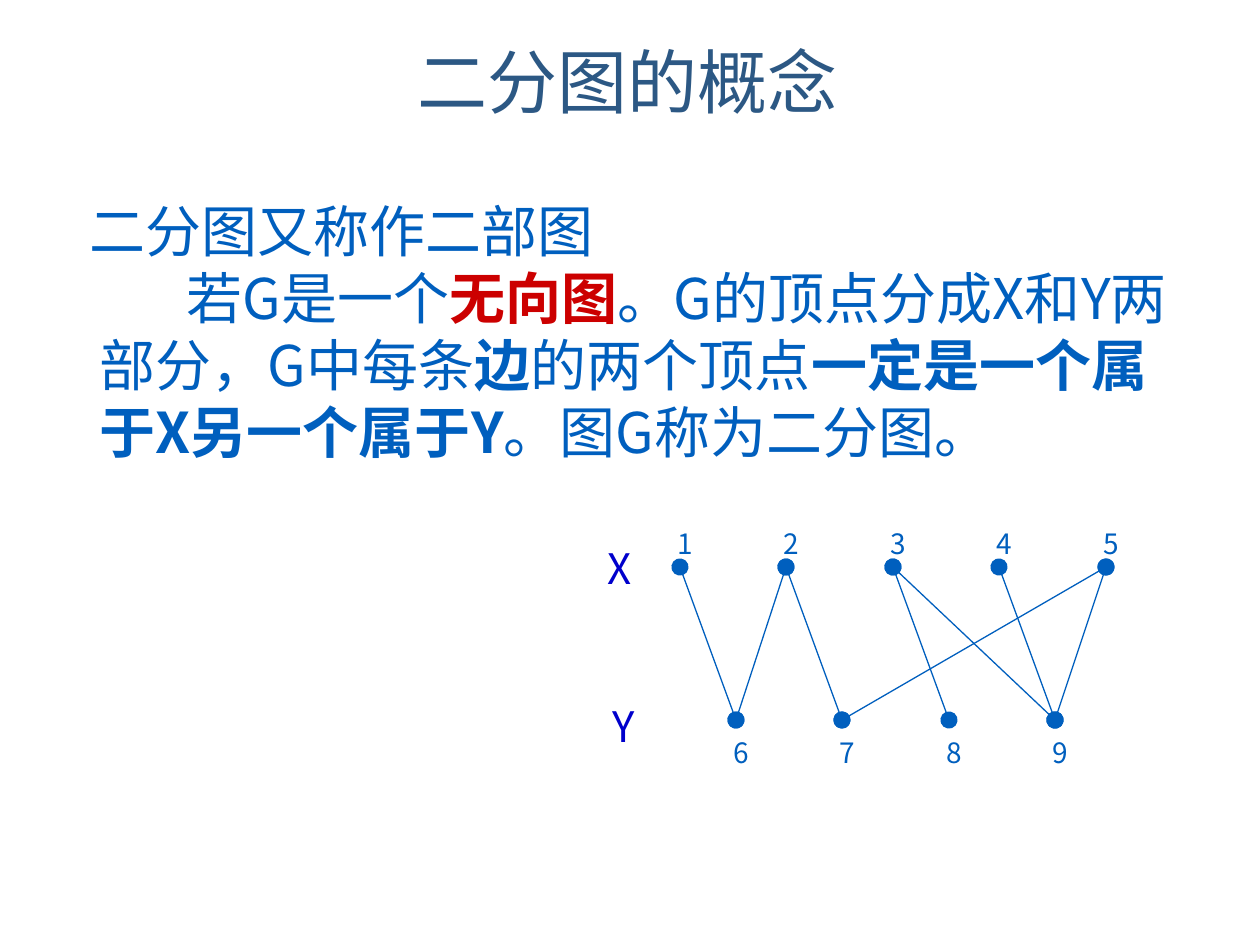
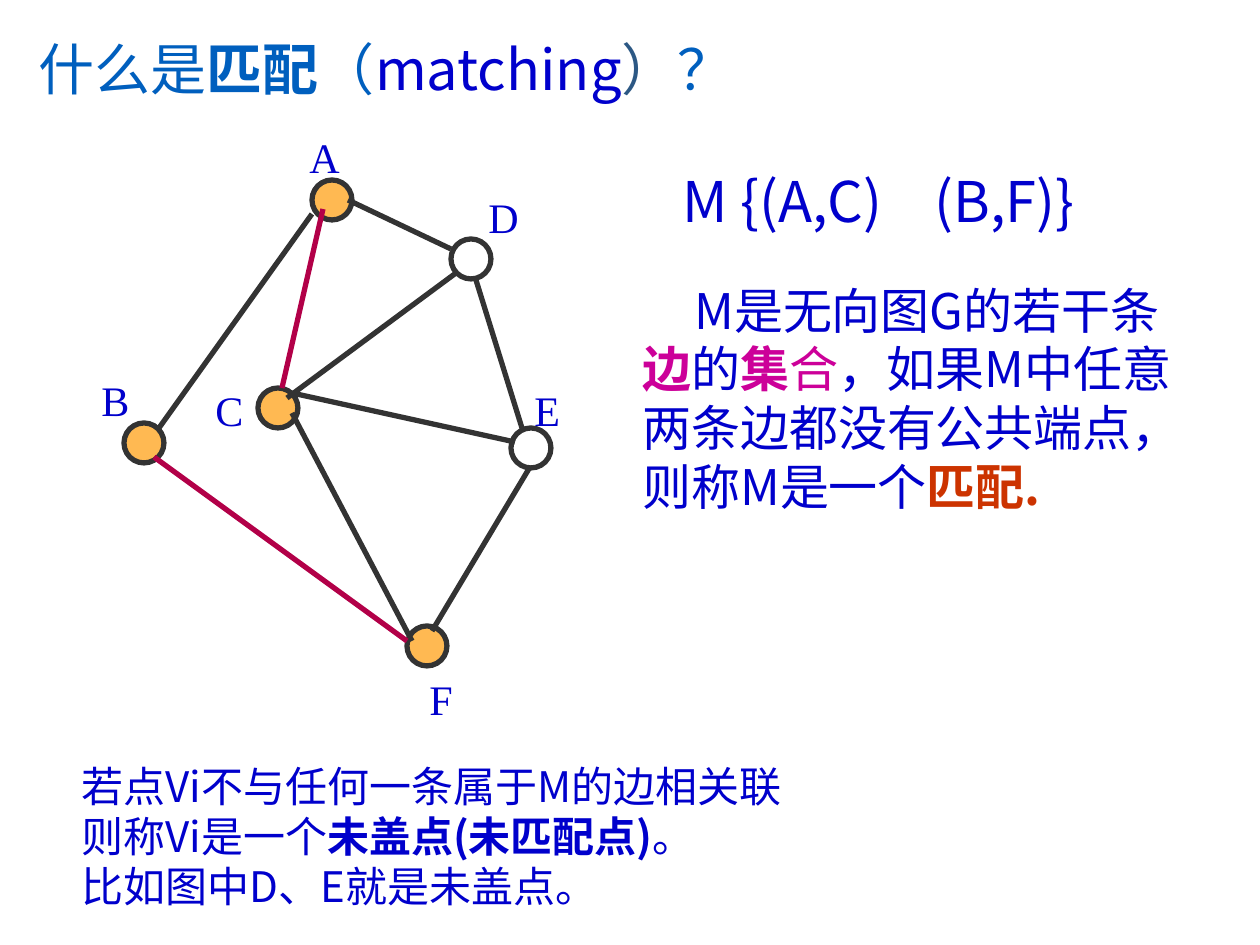
import pptx
import pptx.dml.color
import pptx.enum.shapes
import pptx.enum.text
import pptx.oxml.ns
import pptx.util
from lxml import etree

PX = 914400 / 126
SANS, SERIF = "Noto Sans CJK SC", "Times New Roman"
BLUE, NAVY, SLATE = "005FBE", "0000CC", "2C5884"
RED, MAGENTA, ORANGE = "CC0000", "CC0099", "CC3300"
INK, AMBER, CRIMSON = "333333", "FFB952", "B20048"
LEFT, CENTER = pptx.enum.text.PP_ALIGN.LEFT, pptx.enum.text.PP_ALIGN.CENTER
TOP, MIDDLE = pptx.enum.text.MSO_ANCHOR.TOP, pptx.enum.text.MSO_ANCHOR.MIDDLE


def emu(px):
    return round(px * PX)


def rgb(value):
    return pptx.dml.color.RGBColor.from_string(value)


def add_xml(parent, tag, **attributes):
    return etree.SubElement(parent, pptx.oxml.ns.qn(tag), attributes)


class Deck:
    """Holds the shared style and the slide being built."""

    def __init__(self):
        self.file = pptx.Presentation()
        self.file.slide_width, self.file.slide_height = emu(1260), emu(945)
        self.slide = None

    def new_slide(self, layout):
        self.slide = self.file.slides.add_slide(self.file.slide_layouts[layout])

    def place(self, shape, box):
        for side, px in zip(("left", "top", "width", "height"), box):
            setattr(shape, side, emu(px))

    def fill_text(self, shape, paragraphs, size, color, font=SANS, align=LEFT,
                  anchor=TOP, layout=(), tab=None):
        """Paragraphs are lists of (text, changes); layout gives (margin, indent) for each."""
        frame = shape.text_frame
        frame_format = {"word_wrap": True, "vertical_anchor": anchor,
                        "auto_size": pptx.enum.text.MSO_AUTO_SIZE.NONE}
        for name, value in frame_format.items():
            setattr(frame, name, value)
        for index, runs in enumerate(paragraphs):
            paragraph = frame.add_paragraph() if index else frame.paragraphs[0]
            paragraph_format = {"alignment": align, "space_before": pptx.util.Pt(0),
                                "line_spacing": pptx.util.Pt(size * 1.2)}
            for name, value in paragraph_format.items():
                setattr(paragraph, name, value)
            properties = paragraph._p.get_or_add_pPr()
            margin, indent = layout[index] if layout else (0, 0)
            properties.set("marL", str(emu(margin)))
            properties.set("indent", str(emu(indent)))
            add_xml(properties, "a:buNone")
            if tab:
                stops = add_xml(properties, "a:tabLst")
                add_xml(stops, "a:tab", pos=str(emu(tab)), algn="l")
            for text, changes in runs:
                self.add_run(paragraph, text, {"size": pptx.util.Pt(size), "name": font,
                                               "bold": False, "color": color, **changes})

    def add_run(self, paragraph, text, style):
        run = paragraph.add_run()
        run.text = text
        run.font.color.rgb = rgb(style.pop("color"))
        for name, value in style.items():
            setattr(run.font, name, value)
        add_xml(run._r.get_or_add_rPr(), "a:ea", typeface=SANS)

    def title(self, box, runs, size, **style):
        self.place(self.slide.shapes.title, box)
        self.fill_text(self.slide.shapes.title, [runs], size, SLATE, **style)

    def body(self, box, paragraphs, size, color, **style):
        content = self.slide.placeholders[1]
        self.place(content, box)
        self.fill_text(content, paragraphs, size, color, **style)

    def text(self, box, paragraphs, size, color=NAVY, **style):
        textbox = self.slide.shapes.add_textbox(*map(emu, box))
        self.fill_text(textbox, paragraphs, size, color, **style)

    def label(self, box, text, size, color=NAVY, **style):
        self.text(box, [[(text, {})]], size, color, **style)

    def edge(self, start, end, color, weight, dots=False):
        line = self.slide.shapes.add_connector(
            pptx.enum.shapes.MSO_CONNECTOR.STRAIGHT, *map(emu, (*start, *end)))
        line.line.color.rgb = rgb(color)
        line.line.width = pptx.util.Pt(weight)
        if dots:
            for end_tag in ("a:headEnd", "a:tailEnd"):
                add_xml(line.line._get_or_add_ln(), end_tag, type="oval", w="lg", len="lg")
        add_xml(line._element.spPr, "a:effectLst")

    def vertex(self, center, diameter, fill):
        left, top = (c - diameter // 2 for c in center)
        circle = self.slide.shapes.add_shape(
            pptx.enum.shapes.MSO_SHAPE.OVAL, *map(emu, (left, top, diameter, diameter)))
        circle.shadow.inherit = False
        if fill:
            circle.fill.solid()
            circle.fill.fore_color.rgb = rgb(fill)
        else:
            circle.fill.background()
        circle.line.color.rgb = rgb(INK)
        circle.line.width = pptx.util.Pt(3)


def bipartite_slide(deck):
    bold = {"bold": True}
    deck.new_slide(1)
    deck.title((39, 2, 1177, 157), [("二分图的概念", {})], 40, align=CENTER, anchor=MIDDLE)
    deck.body((39, 190, 1170, 320), [
        [("二分图又称作二部图", {})],
        [("若G是一个", {}), ("无向图", {"bold": True, "color": RED}),
         ("。G的顶点分成X和Y两部分，G中每条", {}), ("边", bold), ("的两个顶点", {}),
         ("一定是一个属于X另一个属于Y", bold), ("。图G称为二分图。", {})],
    ], 32, BLUE, layout=((38, 0), (48, 87)))

    upper = {n: (680 + 213 * i // 2, 567) for i, n in enumerate((1, 2, 3, 4, 5))}
    lower = {n: (736 + 213 * i // 2, 720) for i, n in enumerate((6, 7, 8, 9))}
    for x, y in ((1, 6), (2, 6), (2, 7), (3, 8), (4, 9), (3, 9), (5, 7), (5, 9)):
        deck.edge(upper[x], lower[y], BLUE, 0.75, dots=True)
    for vertices, top in ((upper, 524), (lower, 733)):
        for number, (x, _) in vertices.items():
            deck.label((x - 15, top, 30, 38), str(number), 16, BLUE, anchor=MIDDLE)
    deck.label((595, 536, 115, 63), "X", 24)
    deck.label((600, 694, 115, 63), "Y", 24)


def matching_slide(deck):
    blue = {"color": BLUE}
    deck.new_slide(5)
    deck.title((26, 28, 842, 81), [
        ("什么是", blue), ("匹配", {"color": BLUE, "bold": True}), ("（", blue),
        ("matching", {"color": NAVY, "name": SANS}), ("）", {}), ("？", blue),
    ], 32, font=SERIF)

    vertices = {  # centre, fill, label corner
        "A": ((332, 200), AMBER, (297, 125)),
        "B": ((144, 443), AMBER, (89, 368)),
        "C": ((278, 408), AMBER, (203, 378)),
        "D": ((471, 259), None, (476, 185)),
        "E": ((531, 448), None, (522, 378)),
        "F": ((427, 646), AMBER, (417, 667)),
    }
    for center, fill, _ in vertices.values():
        deck.vertex(center, 40, fill)
    unmatched = (
        ((348, 200), (451, 249)), ((292, 413), (412, 641)), ((476, 280), (522, 428)),
        ((530, 467), (432, 631)), ((287, 398), (456, 273)), ((292, 393), (515, 442)),
        ((312, 214), (159, 428)),
    )
    matched = (((323, 209), (282, 388)), ((154, 457), (407, 641)))
    for edges, color in ((unmatched, INK), (matched, CRIMSON)):
        for start, end in edges:
            deck.edge(start, end, color, 3)
    for name, (_, _, corner) in vertices.items():
        deck.label((*corner, 69, 63), name, 24, font=SERIF)

    deck.label((670, 160, 417, 81), "M {(A,C)\t(B,F)}", 32, tab=223)
    deck.text((630, 274, 586, 248), [[
        ("M是无向图G的若干条", {}), ("边", {"color": MAGENTA, "bold": True}), ("的", {}),
        ("集", {"color": MAGENTA, "bold": True}), ("合", {"color": MAGENTA}),
        ("，如果M中任意两条边都没有公共端点，则称M是一个", {}),
        ("匹配.", {"color": ORANGE, "bold": True}),
    ]], 28, layout=((0, 52),))
    deck.text((69, 754, 963, 164), [
        [("若点Vi不与任何一条属于M的边相关联", {})],
        [("则称Vi是一个", {}), ("未盖点(未匹配点)", {"bold": True}), ("。", {})],
        [("比如图中D、E就是未盖点。", {})],
    ], 24)


def main():
    deck = Deck()
    bipartite_slide(deck)
    matching_slide(deck)
    deck.file.save("out.pptx")


if __name__ == "__main__":
    main()
